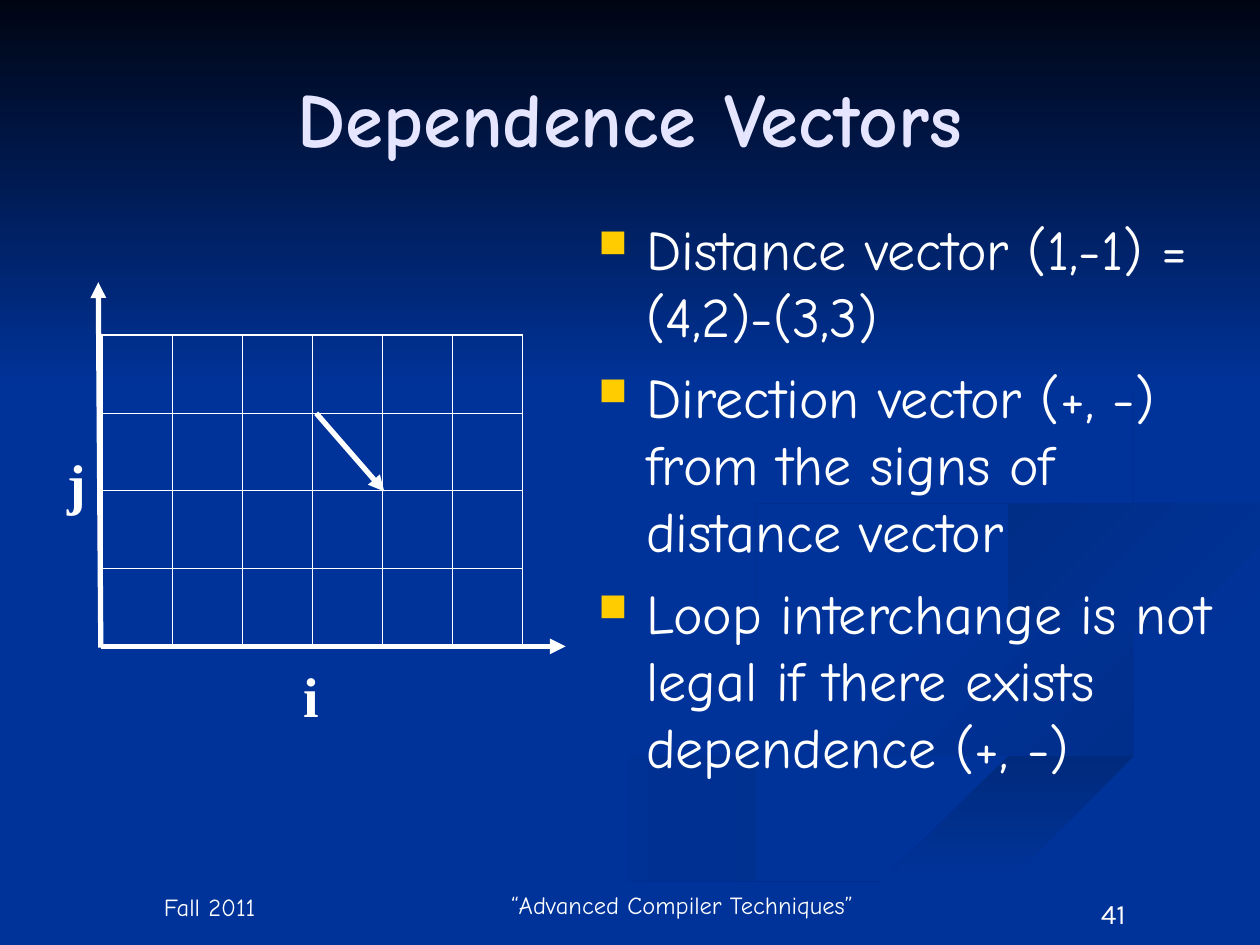
from pptx import Presentation
from pptx.dml.color import RGBColor
from pptx.enum.shapes import MSO_CONNECTOR, MSO_SHAPE
from pptx.enum.text import MSO_ANCHOR, PP_ALIGN
from pptx.oxml.ns import qn
from pptx.util import Inches, Pt
from lxml.etree import SubElement

COLORS = {"background": "003399", "night": "000514", "title": "E5E5FF",
          "text": "FFFFFF", "bullet": "FFCC00", "shade_1": "002E8B",
          "shade_2": "002A7D", "shade_3": "002D86", "shade_4": "002B82"}
BODY_FONT, NUMBER_FONT, AXIS_FONT = "Comic Neue", "Karla", "Times New Roman"

BULLETS = ["Distance vector (1,-1) = (4,2)-(3,3)",
           "Direction vector (+, -) from the signs of distance vector",
           "Loop interchange is not legal if there exists dependence (+, -)"]

# text, (left, top, width, height), font, size, colour, bold, anchor
CENTERED = [
    ("41", (8, 7.07, 1.67, 0.4), NUMBER_FONT, 16, "text", False, MSO_ANCHOR.TOP),
    ("Fall 2011", (0.5, 7, 2.33, 0.36), BODY_FONT, 14, "text", False, MSO_ANCHOR.BOTTOM),
    ("“Advanced Compiler Techniques”", (3.83, 7, 3.17, 0.35), BODY_FONT, 14, "text", False,
     MSO_ANCHOR.BOTTOM),
    ("Dependence Vectors", (0.5, 0.3, 9, 1.25), BODY_FONT, 44, "title", True,
     MSO_ANCHOR.MIDDLE),
]
AXIS_NAMES = [("i", 2.31, 5.2), ("j", 0.44, 3.51)]

GRID_PLACE, GRID_ROWS, GRID_COLS = (0.81, 2.66, 3.34, 2.47), 4, 6
OUTER_BORDER, INNER_BORDER = 1.08, 0.45
ARROWS = [((0.8, 5.13), (4.49, 5.13)),    # i axis
          ((0.8, 5.14), (0.78, 2.24)),    # j axis
          ((2.51, 3.28), (3.05, 3.9))]    # dependence

# first colour, last colour, clockwise angle, edges that are each drawn as a smooth curve
RIBBONS = [
    ("background", "shade_1", 0, [
        [(3, 7.49), (5.39, 6.49), (7.59, 5.9), (7.76, 5.53), (5.81, 4.83), (5.75, 4.59)],
        [(5.75, 4.59), (6.42, 5.07), (7.81, 5.53), (7.8, 6.05), (5.32, 6.74), (3.61, 7.49)]]),
    ("background", "shade_1", 45, [
        [(7.24, 4.64), (7.81, 5.18), (9, 5.57), (8.94, 6.05)],
        [(8.94, 6.05), (9.3, 5.53), (7.74, 5.03), (7.24, 4.64)]]),
    ("shade_2", "background", 90, [
        [(5.03, 7.49), (6.3, 6.93), (9.98, 5.81)],
        [(9.98, 6.09), (7.22, 6.82), (5.71, 7.49)]]),
    ("background", "background", 0, [
        [(4.77, 7.49), (6.63, 6.68), (9.26, 5.93), (9.2, 5.47), (7.45, 4.9), (7.55, 4.32),
         (9.99, 3.87)],
        [(9.99, 4.02), (8.22, 4.34), (7.94, 4.8), (9.99, 5.38)],
        [(9.99, 5.81), (7.65, 6.47), (5.03, 7.49)]]),
    ("shade_3", "background", 45, [
        [(8.26, 4.96), (8.05, 4.72), (8.59, 4.43), (9.98, 4.2)],
        [(9.98, 4.02), (8.35, 4.3), (7.81, 4.6), (8.26, 4.96)]]),
    ("shade_4", "background", 45, [
        [(7.62, 2.33), (8.62, 2.92), (8.76, 3.6), (6.25, 4.26), (5.8, 4.74), (6.22, 5)],
        [(6.22, 5), (5.96, 4.61), (6.83, 4.3), (8.67, 3.84), (8.8, 3.07), (7.62, 2.33)]]),
]
CURVE_STEPS = 6


def rgb(name):
    return RGBColor.from_string(COLORS[name])


def smooth(edge):
    """Return points on a Catmull-Rom curve through the edge."""
    padded = [edge[0], *edge, edge[-1]]
    curve = [edge[0]]
    for knots in zip(padded, padded[1:], padded[2:], padded[3:]):
        for step in range(1, CURVE_STEPS + 1):
            t = step / CURVE_STEPS
            curve.append(tuple(
                b + t * (c - a + t * (2 * a - 5 * b + 4 * c - d
                                      + t * (3 * b - a - 3 * c + d))) / 2
                for a, b, c, d in zip(*knots)))
    return curve


def shade(area, first, last, angle):
    area.shadow.inherit = False
    area.line.fill.background()
    if first == last:
        area.fill.solid()
        area.fill.fore_color.rgb = rgb(first)
        return
    area.fill.gradient()
    area.fill.gradient_angle = (360 - angle) % 360  # python-pptx counts anticlockwise
    for stop, name in zip(area.fill.gradient_stops, (first, last)):
        stop.color.rgb = rgb(name)


def add_backdrop(slide):
    for first, last, angle, edges in RIBBONS:
        outline = [point for edge in edges for point in smooth(edge)]
        builder = slide.shapes.build_freeform(*outline[0], scale=Inches(1))
        builder.add_line_segments(outline[1:], close=True)
        shade(builder.convert_to_shape(), first, last, angle)
    sky = slide.shapes.add_shape(MSO_SHAPE.RECTANGLE, 0, 0, Inches(10), Inches(3.08))
    shade(sky, "night", "background", 90)


def add_run(paragraph, text, font, size, color, bold=False):
    run = paragraph.add_run()
    run.text = text
    run.font.name, run.font.size, run.font.bold = font, Pt(size), bold
    run.font.color.rgb = rgb(color)


def add_frame(slide, place, wrap=True):
    frame = slide.shapes.add_textbox(*map(Inches, place)).text_frame
    frame.word_wrap = wrap
    return frame


def add_labels(slide):
    for text, place, font, size, color, bold, anchor in CENTERED:
        frame = add_frame(slide, place)
        frame.vertical_anchor = anchor
        frame.paragraphs[0].alignment = PP_ALIGN.CENTER
        add_run(frame.paragraphs[0], text, font, size, color, bold)
    for name, left, top in AXIS_NAMES:
        frame = add_frame(slide, (left, top, 0.35, 0.64), wrap=False)
        add_run(frame.paragraphs[0], name, AXIS_FONT, 32, "text", True)


def add_iteration_grid(slide):
    place = map(Inches, GRID_PLACE)
    table = slide.shapes.add_table(GRID_ROWS, GRID_COLS, *place).table
    for r in range(GRID_ROWS):
        for c in range(GRID_COLS):
            cell = table.cell(r, c)
            properties = cell._tc.get_or_add_tcPr()
            on_edge = {"lnL": c == 0, "lnR": c == GRID_COLS - 1,
                       "lnT": r == 0, "lnB": r == GRID_ROWS - 1}
            for side, outer in on_edge.items():
                width = Pt(OUTER_BORDER if outer else INNER_BORDER)
                border = SubElement(properties, qn(f"a:{side}"), w=str(width))
                fill = SubElement(border, qn("a:solidFill"))
                SubElement(fill, qn("a:srgbClr"), val=COLORS["text"])
            cell.fill.background()


def add_arrow(slide, start, end):
    arrow = slide.shapes.add_connector(MSO_CONNECTOR.STRAIGHT, *map(Inches, start + end))
    arrow.line.width = Pt(3)
    arrow.line.color.rgb = rgb("text")
    SubElement(arrow.line._get_or_add_ln(), qn("a:tailEnd"), type="triangle")
    SubElement(arrow._element.spPr, qn("a:effectLst"))


def add_bullets(slide):
    frame = add_frame(slide, (4.65, 1.65, 5.11, 5.01))
    for index, text in enumerate(BULLETS):
        paragraph = frame.add_paragraph() if index else frame.paragraphs[0]
        if index:
            paragraph.space_before = Pt(8)
        properties = paragraph._p.get_or_add_pPr()
        properties.set("marL", str(Inches(0.38)))
        properties.set("indent", str(-Inches(0.38)))
        color = SubElement(properties, qn("a:buClr"))
        SubElement(color, qn("a:srgbClr"), val=COLORS["bullet"])
        SubElement(properties, qn("a:buSzPct"), val="70000")
        SubElement(properties, qn("a:buChar"), char="■")
        add_run(paragraph, text, BODY_FONT, 32, "text")


def main():
    deck = Presentation()
    deck.slide_width, deck.slide_height = Inches(10), Inches(7.5)
    slide = deck.slides.add_slide(deck.slide_layouts[6])
    slide.background.fill.solid()
    slide.background.fill.fore_color.rgb = rgb("background")
    add_backdrop(slide)
    add_labels(slide)
    add_iteration_grid(slide)
    for start, end in ARROWS:
        add_arrow(slide, start, end)
    add_bullets(slide)
    deck.save("out.pptx")


if __name__ == "__main__":
    main()
